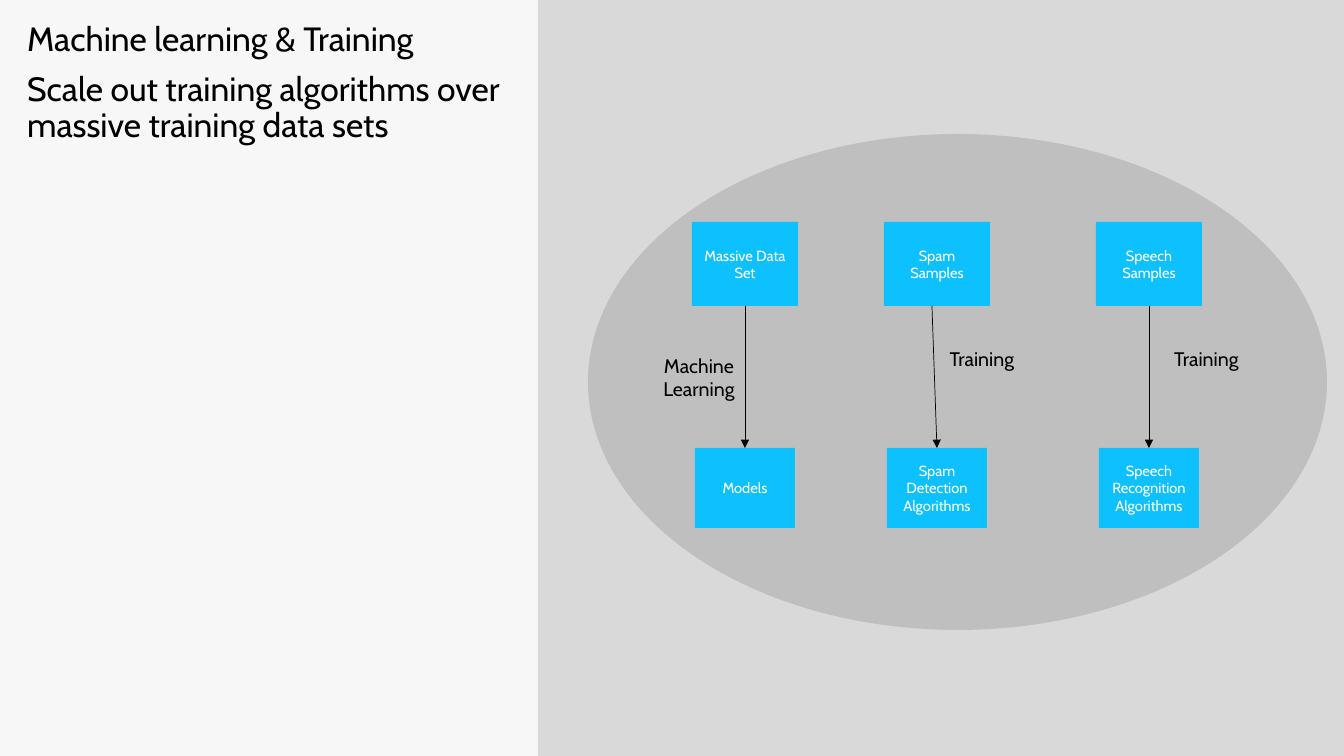
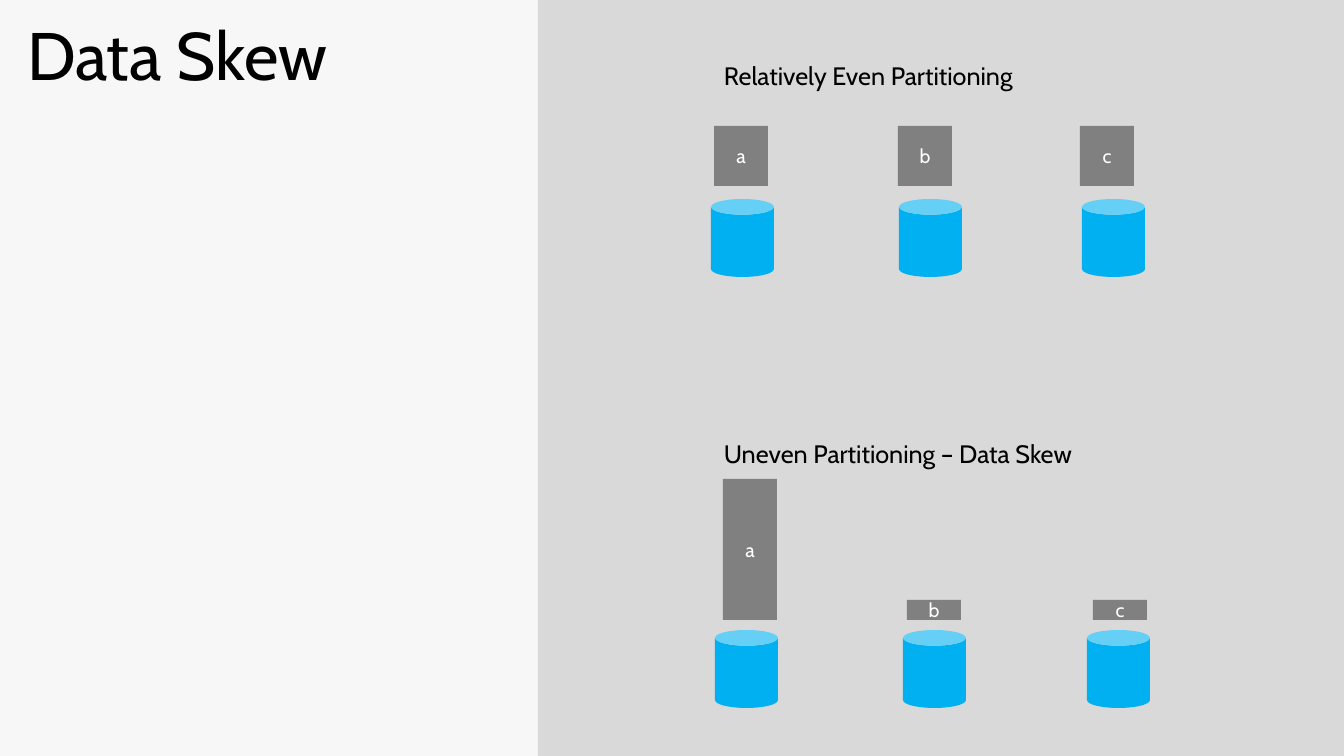
from lxml import etree
from pptx import Presentation
from pptx.dml.color import RGBColor
from pptx.enum.shapes import MSO_CONNECTOR, MSO_SHAPE
from pptx.enum.text import MSO_ANCHOR, MSO_AUTO_SIZE, PP_ALIGN
from pptx.oxml.ns import qn
from pptx.util import Inches, Pt

RECTANGLE, OVAL, CAN = MSO_SHAPE.RECTANGLE, MSO_SHAPE.OVAL, MSO_SHAPE.CAN
STRAIGHT = MSO_CONNECTOR.STRAIGHT
TOP, MIDDLE = MSO_ANCHOR.TOP, MSO_ANCHOR.MIDDLE
LEFT, CENTER = PP_ALIGN.LEFT, PP_ALIGN.CENTER
FIXED_SIZE = MSO_AUTO_SIZE.NONE
TOP_SIDE, BOTTOM_SIDE = 0, 2

PAPER = RGBColor(0xF7, 0xF7, 0xF7)
PANEL = RGBColor(0xD9, 0xD9, 0xD9)
CLOUD = RGBColor(0xBF, 0xBF, 0xBF)
BLOCK = RGBColor(0x80, 0x80, 0x80)
STEP = RGBColor(0x0D, 0xC0, 0xFF)
STORE = RGBColor(0x00, 0xB0, 0xF0)
BLACK = RGBColor(0, 0, 0)
WHITE = RGBColor(0xFF, 0xFF, 0xFF)

FONT = "Cabin"
WIDTH, HEIGHT = 1344, 756
PX_PER_INCH = 100.8
TITLE_ONLY = 5


def px(*lengths):
    """Turn pixel lengths into EMU."""
    return [Inches(length / PX_PER_INCH) for length in lengths]


class Deck:
    def __init__(self):
        self.deck = Presentation()
        self.deck.slide_width, self.deck.slide_height = px(WIDTH, HEIGHT)
        self.layout = self.deck.slide_layouts[TITLE_ONLY]
        fill = self.layout.background.fill
        fill.solid()
        fill.fore_color.rgb = PAPER
        self.page = None

    def new_page(self, title, size):
        first = self.page is None
        self.page = self.deck.slides.add_slide(self.layout)
        if first:
            self.share_panel()
        box = self.page.shapes.title
        box.left, box.top, box.width, box.height = px(17, 17, 496, 723)
        self.set_text(box, title, size, BLACK, LEFT, TOP)
        for index, paragraph in enumerate(box.text_frame.paragraphs):
            paragraph.line_spacing = 0.9
            paragraph.space_before = Pt(10 if index else 0)

    def share_panel(self):
        """Move the right-hand panel to the layout, behind its placeholders."""
        panel = self.shape(RECTANGLE, 538, 0, WIDTH - 538, HEIGHT, PANEL)
        panel.element.nvSpPr.cNvPr.set("id", "99")
        self.layout.shapes.element.insert(2, panel.element)

    def set_text(self, box, text, size, color, align, anchor=MIDDLE):
        frame = box.text_frame
        frame.text = text
        frame.word_wrap = True
        frame.auto_size = FIXED_SIZE
        frame.vertical_anchor = anchor
        for paragraph in frame.paragraphs:
            paragraph.alignment = align
            paragraph.font.name = FONT
            paragraph.font.size = Pt(size)
            paragraph.font.color.rgb = color

    def shape(self, kind, left, top, width, height, color):
        shape = self.page.shapes.add_shape(kind, *px(left, top, width, height))
        shape.shadow.inherit = False
        shape.fill.solid()
        shape.fill.fore_color.rgb = color
        shape.line.fill.background()
        return shape

    def box(self, left, top, width, height, color, text, size):
        box = self.shape(RECTANGLE, left, top, width, height, color)
        self.set_text(box, text, size, WHITE, CENTER)
        return box

    def label(self, left, top, width, height, text, size, align=CENTER):
        label = self.page.shapes.add_textbox(*px(left, top, width, height))
        self.set_text(label, text, size, BLACK, align)

    def arrow_down(self, source, target, shift):
        """Join two boxes; a shift moves the start off the source's middle."""
        start_x = source.left + source.width // 2 + px(shift)[0]
        start_y = source.top + source.height
        arrow = self.page.shapes.add_connector(
            STRAIGHT, start_x, start_y, start_x, target.top)
        if not shift:
            arrow.begin_connect(source, BOTTOM_SIDE)
        arrow.end_connect(target, TOP_SIDE)
        arrow.line.color.rgb = BLACK
        arrow.line.width = Pt(0.5)
        properties = arrow.element.spPr
        etree.SubElement(properties.find(qn("a:ln")), qn("a:tailEnd"), type="triangle")
        etree.SubElement(properties, qn("a:effectLst"))

    def save(self):
        self.deck.save("out.pptx")


def training_page(deck):
    deck.new_page("Machine learning & Training\n"
                  "Scale out training algorithms over massive training data sets", 24)
    deck.shape(OVAL, 588, 134, 739, 496, CLOUD)
    # center, arrow shift, source, target, label, label place
    columns = [
        (745, 0, "Massive Data Set", "Models",
         "Machine\nLearning", (623, 356, 152, 42)),
        (937, -5, "Spam Samples", "Spam Detection\nAlgorithms",
         "Training", (906, 338, 152, 42)),
        (1149, 0, "Speech Samples", "Speech Recognition Algorithms",
         "Training", (1149, 338, 115, 42)),
    ]
    for center, shift, source_text, target_text, step, place in columns:
        source = deck.box(center - 53, 222, 106, 84, STEP, source_text, 10.5)
        target = deck.box(center - 50, 448, 100, 80, STEP, target_text, 10.5)
        deck.arrow_down(source, target, shift)
        deck.label(*place, step, 14)


def skew_page(deck):
    deck.new_page("Data Skew", 48)
    # heading, heading top, block bottom, can top, (block left, height, can left)
    partitionings = [
        ("Relatively Even Partitioning", 33, 186, 199,
         [(714, 60, 711), (898, 60, 899), (1080, 60, 1082)]),
        ("Uneven Partitioning – Data Skew", 411, 620, 630,
         [(723, 141, 715), (907, 20, 903), (1093, 20, 1087)]),
    ]
    for heading, top, block_bottom, can_top, partitions in partitionings:
        for name, (block_left, height, can_left) in zip("abc", partitions):
            deck.shape(CAN, can_left, can_top, 63, 78, STORE)
            deck.box(block_left, block_bottom - height, 54, height, BLOCK, name, 14)
        deck.label(714, top, 400, 84, heading, 18, LEFT)


def main():
    deck = Deck()
    training_page(deck)
    skew_page(deck)
    deck.save()


if __name__ == "__main__":
    main()
